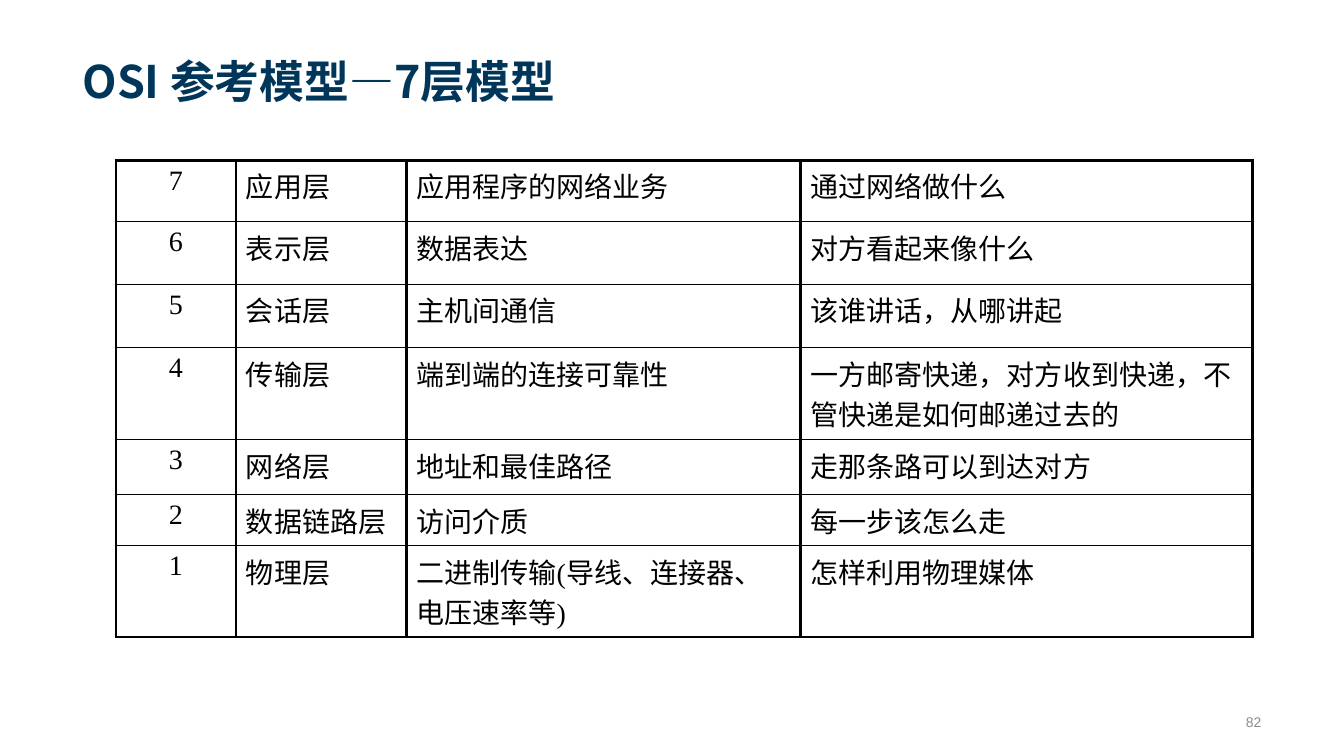
"""Build the OSI seven-layer reference model slide."""
from dataclasses import dataclass

from lxml import etree
from pptx import Presentation
from pptx.dml.color import RGBColor
from pptx.enum.text import MSO_ANCHOR, PP_ALIGN
from pptx.oxml.ns import qn
from pptx.util import Inches, Pt

LEFT, CENTER, RIGHT = PP_ALIGN.LEFT, PP_ALIGN.CENTER, PP_ALIGN.RIGHT
TOP, MIDDLE, BOTTOM = MSO_ANCHOR.TOP, MSO_ANCHOR.MIDDLE, MSO_ANCHOR.BOTTOM
COLORS = {"title": "003659", "text": "000000", "line": "000000", "number": "8C8C8C"}
CJK_FONT = "Noto Sans CJK SC"
THICK, THIN = 2.25, 1
COLUMN_WIDTHS = (1.19, 1.69, 3.91, 4.48)


@dataclass
class Style:
    font: str
    size: float
    color: str
    align: PP_ALIGN = LEFT
    anchor: MSO_ANCHOR = TOP
    bold: bool = False


@dataclass
class Label:
    text: str
    left: float
    top: float
    width: float
    height: float
    style: Style


@dataclass
class Layer:
    number: int
    name: str
    role: str
    question: str
    height: float


LABELS = [
    Label("OSI 参考模型—7层模型", 0.72, 0, 11.88, 1.12,
          Style(CJK_FONT, 32, "title", anchor=BOTTOM, bold=True)),
    Label("82", 11.73, 7.01, 0.88, 0.3, Style("Arial", 10, "number", RIGHT, MIDDLE)),
]
NUMBER_STYLE = Style("Times New Roman", 20, "text", CENTER)
CELL_STYLE = Style("Times New Roman", 20, "text")
LAYERS = [
    Layer(7, "应用层", "应用程序的网络业务", "通过网络做什么", 0.61),
    Layer(6, "表示层", "数据表达", "对方看起来像什么", 0.62),
    Layer(5, "会话层", "主机间通信", "该谁讲话，从哪讲起", 0.63),
    Layer(4, "传输层", "端到端的连接可靠性", "一方邮寄快递，对方收到快递，不管快递是如何邮递过去的", 0.91),
    Layer(3, "网络层", "地址和最佳路径", "走那条路可以到达对方", 0.55),
    Layer(2, "数据链路层", "访问介质", "每一步该怎么走", 0.5),
    Layer(1, "物理层", "二进制传输(导线、连接器、电压速率等)", "怎样利用物理媒体", 0.9),
]


def write_text(tf, text: str, style: Style) -> None:
    tf.text = text
    tf.word_wrap = True
    p = tf.paragraphs[0]
    p.alignment = style.align
    r = p.runs[0]
    r.font.name = style.font
    r.font.size = Pt(style.size)
    r.font.bold = style.bold
    r.font.color.rgb = RGBColor.from_string(COLORS[style.color])
    ea = etree.Element(qn("a:ea"), typeface=CJK_FONT)
    r.font._element.find(qn("a:latin")).addnext(ea)


def add_label(s, label: Label) -> None:
    box = s.shapes.add_textbox(Inches(label.left), Inches(label.top),
                               Inches(label.width), Inches(label.height))
    write_text(box.text_frame, label.text, label.style)
    box.text_frame.vertical_anchor = label.style.anchor


def set_borders(cell, top: float, bottom: float) -> None:
    tc_pr = cell._tc.get_or_add_tcPr()
    widths = {"lnL": THICK, "lnR": THICK, "lnT": top, "lnB": bottom}
    for i, (tag, width) in enumerate(widths.items()):
        ln = etree.Element(qn(f"a:{tag}"), w=str(Pt(width)))
        fill = etree.SubElement(ln, qn("a:solidFill"))
        etree.SubElement(fill, qn("a:srgbClr"), val=COLORS["line"])
        tc_pr.insert(i, ln)


def add_layer_table(s) -> None:
    height = sum(layer.height for layer in LAYERS)
    table = s.shapes.add_table(len(LAYERS), len(COLUMN_WIDTHS), Inches(1.15), Inches(1.59),
                               Inches(sum(COLUMN_WIDTHS)), Inches(height)).table
    table.first_row = table.horz_banding = False
    for column, width in zip(table.columns, COLUMN_WIDTHS):
        column.width = Inches(width)
    last = len(LAYERS) - 1
    for i, layer in enumerate(LAYERS):
        table.rows[i].height = Inches(layer.height)
        texts = (str(layer.number), layer.name, layer.role, layer.question)
        for j, text in enumerate(texts):
            cell = table.cell(i, j)
            write_text(cell.text_frame, text, CELL_STYLE if j else NUMBER_STYLE)
            cell.fill.background()
            set_borders(cell, THIN if i else THICK, THICK if i == last else THIN)


def main() -> None:
    prs = Presentation()
    prs.slide_width, prs.slide_height = Inches(13.33), Inches(7.5)
    s = prs.slides.add_slide(prs.slide_layouts[6])
    add_layer_table(s)
    for label in LABELS:
        add_label(s, label)
    prs.save("out.pptx")


if __name__ == "__main__":
    main()
